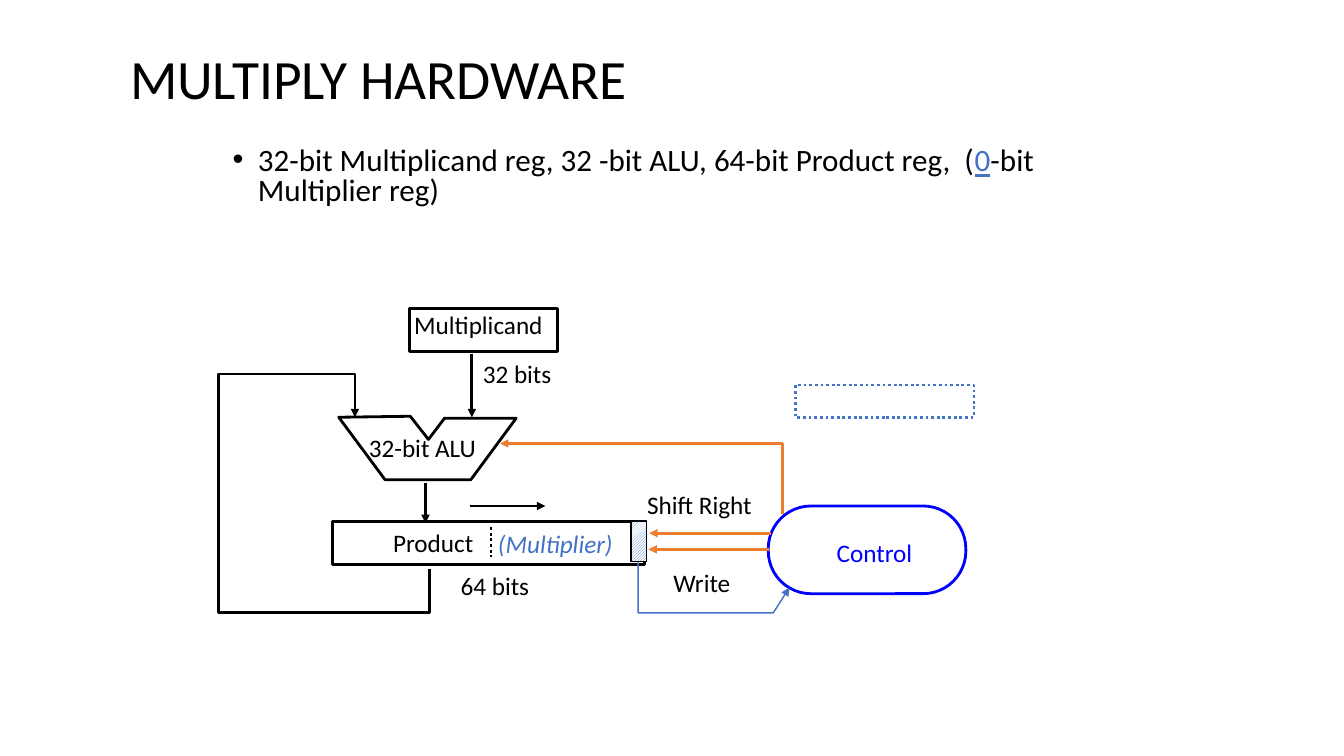
from dataclasses import dataclass

from lxml import etree
from pptx import Presentation
from pptx.dml.color import RGBColor
from pptx.enum.dml import MSO_LINE, MSO_PATTERN
from pptx.enum.shapes import MSO_CONNECTOR, MSO_SHAPE
from pptx.enum.text import MSO_ANCHOR, MSO_AUTO_SIZE, PP_ALIGN
from pptx.oxml.ns import qn
from pptx.util import Inches, Pt

RECTANGLE, ROUNDED = MSO_SHAPE.RECTANGLE, MSO_SHAPE.ROUNDED_RECTANGLE
STRAIGHT = MSO_CONNECTOR.STRAIGHT
DOTTED = MSO_LINE.ROUND_DOT
UPWARD_DIAGONAL = MSO_PATTERN.LIGHT_UPWARD_DIAGONAL
LEFT, MIDDLE, TOP = PP_ALIGN.LEFT, MSO_ANCHOR.MIDDLE, MSO_ANCHOR.TOP
FIXED, GROW = MSO_AUTO_SIZE.NONE, MSO_AUTO_SIZE.SHAPE_TO_FIT_TEXT

COLOURS = {
    "black": "000000",
    "white": "FFFFFF",
    "accent": "4472C4",
    "signal": "ED7D31",
    "control": "0000FF",
}
Point = tuple[float, float]


@dataclass
class Block:
    left: float
    top: float
    width: float
    height: float
    colour: str = "black"
    weight: float = 2
    preset: int = RECTANGLE
    dotted: bool = False
    hatched: bool = False


@dataclass
class Label:
    text: str
    left: float
    top: float
    width: float
    colour: str = "black"
    italic: bool = False
    wrap: bool = False


@dataclass
class Wire:
    points: list[Point]
    colour: str = "black"
    weight: float = 2
    arrow: bool = True
    dotted: bool = False
    closed: bool = False


BLOCKS = [
    Block(3.3, 5.17, 3.09, 0.43),
    Block(4.06, 3.06, 1.47, 0.43),
    Block(7.62, 5.02, 1.96, 0.87, "control", preset=ROUNDED),
    Block(7.89, 3.82, 1.77, 0.32, "accent", dotted=True),
    Block(6.26, 5.17, 0.15, 0.4, weight=1, hatched=True),
]
WIRES = [
    Wire([(7.76, 5.1), (7.76, 4.4), (4.96, 4.4)], "signal"),
    Wire([(7.65, 5.29), (6.44, 5.29)], "signal"),
    Wire([(7.63, 5.45), (6.43, 5.45)], "signal"),
    Wire([(3.36, 4.14), (3.82, 4.76), (4.67, 4.76), (5.12, 4.15),
          (4.41, 4.15), (4.25, 4.36), (4.07, 4.13)], arrow=False, closed=True),
    Wire([(4.22, 4.79), (4.22, 5.19)]),
    Wire([(4.26, 5.65), (4.26, 6.08), (2.17, 6.08), (2.17, 3.71),
          (3.52, 3.71), (3.52, 4.14)]),
    Wire([(4.68, 3.51), (4.68, 4.14)]),
    Wire([(4.87, 5.23), (4.87, 5.53)], arrow=False, dotted=True),
    Wire([(4.66, 5.02), (5.41, 5.02)]),
    Wire([(6.33, 5.58), (6.33, 6.08), (7.67, 6.08), (7.83, 5.83)], "accent", 1),
]
LABELS = [
    Label("Product", 3.8, 5.18, 1),
    Label("(Multiplier)", 4.84, 5.19, 1.35, "accent", italic=True),
    Label("Multiplicand", 4.01, 3.02, 1.6, wrap=True),
    Label("32-bit ALU", 3.56, 4.24, 1.27),
    Label("Write", 6.58, 5.58, 0.77),
    Label("Control", 8.2, 5.28, 0.96, "control"),
    Label("32 bits", 4.69, 3.51, 0.91),
    Label("64 bits", 4.47, 5.61, 0.91),
    Label("Shift Right", 6.32, 4.81, 1.25),
]


def rgb(name: str) -> RGBColor:
    return RGBColor.from_string(COLOURS[name])


def set_all(target, **values) -> None:
    for name, value in values.items():
        setattr(target, name, value)


def add_span(para, text: str, size: float, colour: str = "black", **formats) -> None:
    span = para.add_run()
    span.text = text
    set_all(span.font, name="Calibri", size=Pt(size), **formats)
    span.font.color.rgb = rgb(colour)


def style_line(shape, colour: str, weight: float, dotted: bool) -> None:
    shape.line.color.rgb = rgb(colour)
    shape.line.width = Pt(weight)
    if dotted:
        shape.line.dash_style = DOTTED


def add_title(page) -> None:
    title = page.shapes.title
    set_all(title, left=Inches(1.19), top=Inches(0.61),
            width=Inches(8.73), height=Inches(0.4))
    set_all(title.text_frame, auto_size=FIXED, word_wrap=True, vertical_anchor=MIDDLE)
    para = title.text_frame.paragraphs[0]
    set_all(para, alignment=LEFT, line_spacing=0.9)
    add_span(para, "MULTIPLY HARDWARE", 39.6)


def add_summary(page) -> None:
    box = page.shapes.add_textbox(Inches(2.21), Inches(1.42), Inches(8.96), Inches(0.74))
    set_all(box.text_frame, word_wrap=True, auto_size=FIXED, vertical_anchor=TOP)
    para = box.text_frame.paragraphs[0]
    set_all(para, line_spacing=0.8, space_before=Pt(10))
    add_span(para, "32-bit Multiplicand reg, 32 -bit ALU, 64-bit Product reg,  (", 22.2)
    add_span(para, "0", 22.2, "accent", underline=True)
    add_span(para, "-bit Multiplier reg)", 22.2)
    properties = para._p.get_or_add_pPr()
    properties.set("marL", str(Inches(0.25)))
    properties.set("indent", str(-Inches(0.25)))
    etree.SubElement(properties, qn("a:buFont"), typeface="Arial")
    etree.SubElement(properties, qn("a:buChar"), char="•")


def add_block(page, block: Block) -> None:
    shape = page.shapes.add_shape(block.preset, Inches(block.left), Inches(block.top),
                                  Inches(block.width), Inches(block.height))
    shape.shadow.inherit = False
    if block.preset == ROUNDED:
        shape.adjustments[0] = 0.486
    if block.hatched:
        shape.fill.patterned()
        shape.fill.pattern = UPWARD_DIAGONAL
        shape.fill.fore_color.rgb = rgb("accent")
        shape.fill.back_color.rgb = rgb("white")
    else:
        shape.fill.background()
    style_line(shape, block.colour, block.weight, block.dotted)


def add_wire(page, wire: Wire) -> None:
    """Draw two points as a connector and more points as a freeform."""
    points = [(Inches(x), Inches(y)) for x, y in wire.points]
    if len(points) == 2:
        shape = page.shapes.add_connector(STRAIGHT, *points[0], *points[1])
    else:
        builder = page.shapes.build_freeform(*points[0])
        builder.add_line_segments(points[1:], close=wire.closed)
        shape = builder.convert_to_shape()
        shape.fill.background()
    style_line(shape, wire.colour, wire.weight, wire.dotted)
    properties = shape._element.spPr
    if wire.arrow:
        etree.SubElement(properties.find(qn("a:ln")), qn("a:tailEnd"), type="triangle")
    etree.SubElement(properties, qn("a:effectLst"))


def add_label(page, label: Label) -> None:
    box = page.shapes.add_textbox(Inches(label.left), Inches(label.top),
                                  Inches(label.width), Inches(0.4))
    set_all(box.text_frame, word_wrap=label.wrap, auto_size=GROW)
    add_span(box.text_frame.paragraphs[0], label.text, 18, label.colour,
             italic=label.italic)


def main() -> None:
    deck = Presentation()
    set_all(deck, slide_width=Inches(13.33), slide_height=Inches(7.5))
    page = deck.slides.add_slide(deck.slide_layouts[5])
    add_title(page)
    add_summary(page)
    for block in BLOCKS:
        add_block(page, block)
    for wire in WIRES:
        add_wire(page, wire)
    for label in LABELS:
        add_label(page, label)
    deck.save("out.pptx")


if __name__ == "__main__":
    main()
